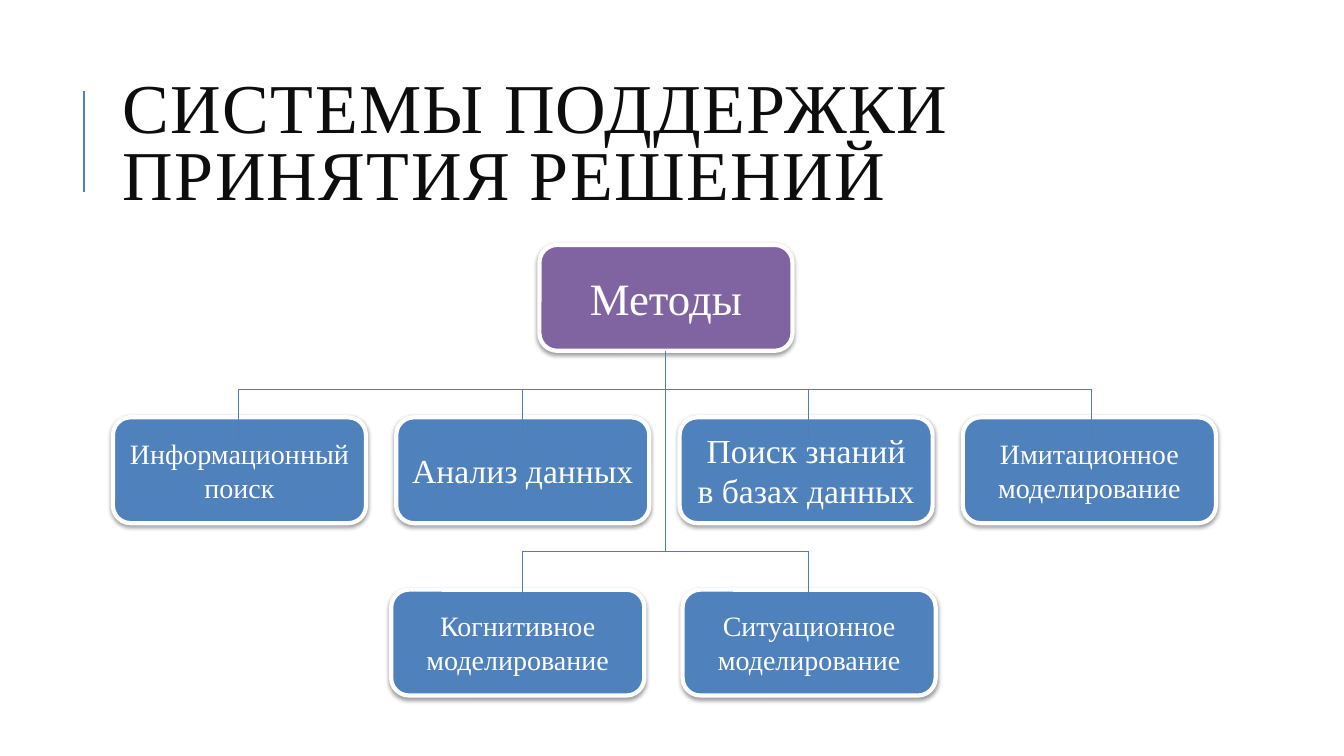
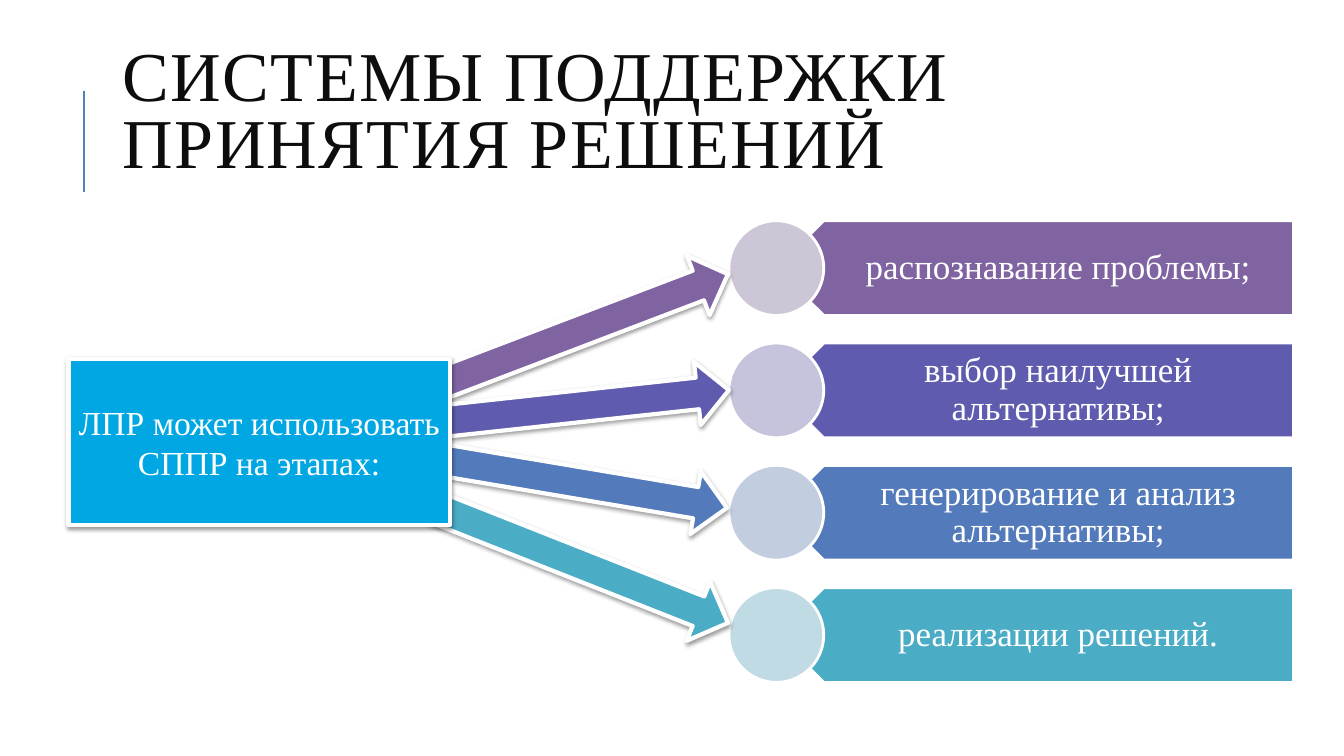
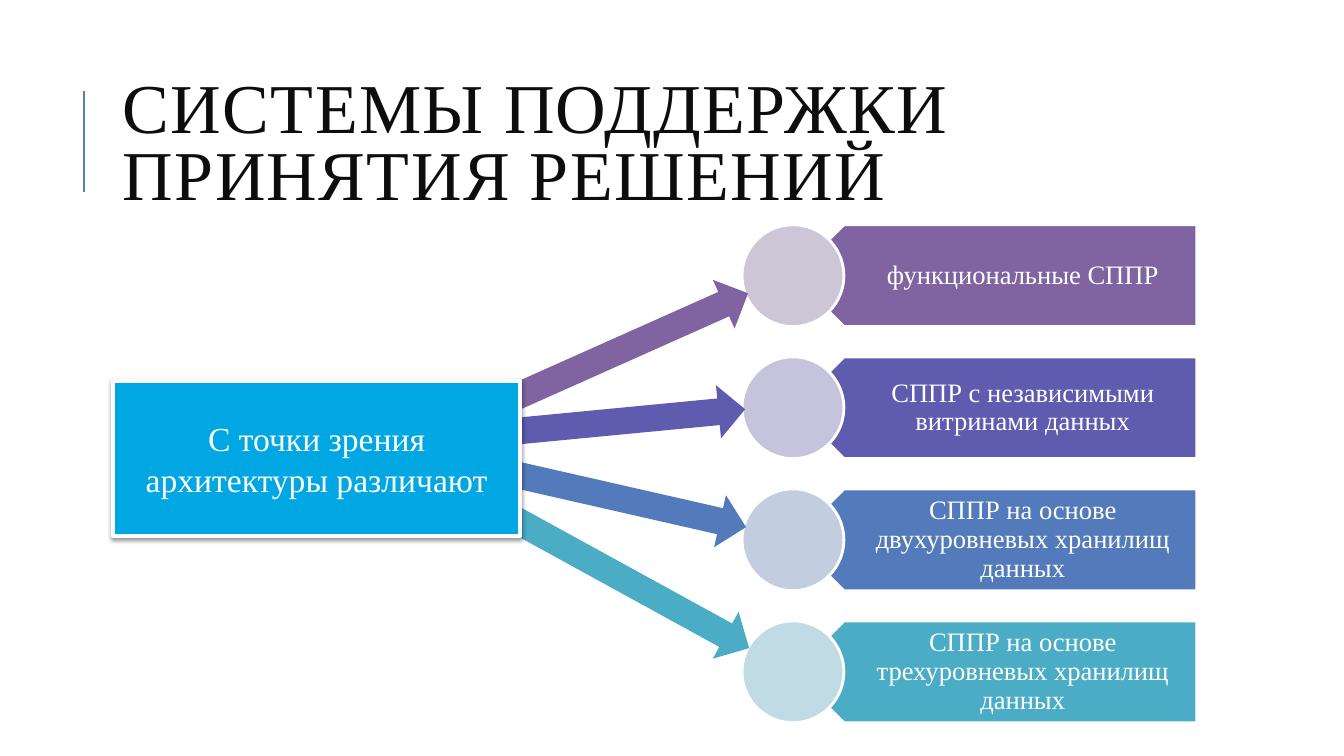
from dataclasses import dataclass
from math import atan2, degrees, hypot

from lxml import etree
from pptx import Presentation
from pptx.dml.color import RGBColor
from pptx.enum.shapes import MSO_CONNECTOR, MSO_SHAPE
from pptx.enum.text import MSO_ANCHOR, PP_ALIGN
from pptx.oxml.ns import qn
from pptx.util import Inches, Pt

STRAIGHT = MSO_CONNECTOR.STRAIGHT
RECTANGLE, ROUNDED = MSO_SHAPE.RECTANGLE, MSO_SHAPE.ROUNDED_RECTANGLE
OVAL, PLATE, ARROW = MSO_SHAPE.OVAL, MSO_SHAPE.PENTAGON, MSO_SHAPE.RIGHT_ARROW
MIDDLE = MSO_ANCHOR.MIDDLE
LEFT, CENTER = PP_ALIGN.LEFT, PP_ALIGN.CENTER


@dataclass(frozen=True)
class Theme:
    font: str = "Times New Roman"
    ink: str = "0D0D0D"
    white: str = "FFFFFF"
    blue: str = "4F81BD"
    branch: str = "4B7EBC"
    purple: str = "8064A2"
    source: str = "00A7E2"
    stages: tuple = ("8064A2", "5F5BAE", "537ABA", "4BACC6")
    tints: tuple = ("CDC6D7", "C5C4DC", "C3CDE0", "C1DBE5")
    title_size: float = 50
    root_size: float = 32
    large_size: float = 24
    small_size: float = 20
    border: float = 3
    thin_border: float = 2
    accent_line: float = 1.5
    branch_line: float = 0.75


THEME = Theme()
TITLE = "СИСТЕМЫ ПОДДЕРЖКИ ПРИНЯТИЯ РЕШЕНИЙ"


@dataclass(frozen=True)
class Box:
    left: float
    top: float
    width: float
    height: float

    def lengths(self):
        return [Inches(n) for n in (self.left, self.top, self.width, self.height)]


def write(shape, text, size, color=THEME.white, align=CENTER, spacing=1.0,
          margins=(0.1, 0.05, 0.1, 0.05)):
    frame = shape.text_frame
    left, top, right, bottom = [Inches(margin) for margin in margins]
    settings = {"word_wrap": True, "vertical_anchor": MIDDLE, "margin_left": left,
                "margin_top": top, "margin_right": right, "margin_bottom": bottom}
    for name, value in settings.items():
        setattr(frame, name, value)
    para = frame.paragraphs[0]
    para.alignment = align
    para.line_spacing = spacing
    span = para.add_run()
    for name, value in {"text": text}.items():
        setattr(span, name, value)
    for name, value in {"name": THEME.font, "size": Pt(size)}.items():
        setattr(span.font, name, value)
    span.font.color.rgb = RGBColor.from_string(color)
    return span


def add_shadow(shape):
    effects = shape._element.spPr.find(qn("a:effectLst"))
    shadow = etree.SubElement(effects, qn("a:outerShdw"), blurRad="40000",
                              dist="20000", dir="5400000", rotWithShape="0")
    color = etree.SubElement(shadow, qn("a:srgbClr"), val="000000")
    etree.SubElement(color, qn("a:alpha"), val="38000")


def add_block(page, kind, box, fill, border=0, shadow=False, rotation=0):
    shape = page.shapes.add_shape(kind, *box.lengths())
    shape.shadow.inherit = False
    shape.rotation = rotation
    shape.fill.solid()
    shape.fill.fore_color.rgb = RGBColor.from_string(fill)
    if border:
        shape.line.color.rgb = RGBColor.from_string(THEME.white)
        shape.line.width = Pt(border)
    else:
        shape.line.fill.background()
    if shadow:
        add_shadow(shape)
    return shape


def add_line(page, start, end, color, width):
    line = page.shapes.add_connector(STRAIGHT, *[Inches(n) for n in (*start, *end)])
    line.line.color.rgb = RGBColor.from_string(color)
    line.line.width = Pt(width)
    etree.SubElement(line._element.spPr, qn("a:effectLst"))


def add_page(deck, title_top=0.64):
    """Add a blank slide with the accent line and the common title."""
    page = deck.slides.add_slide(deck.slide_layouts[6])
    add_line(page, (0.83, 0.9), (0.83, 1.9), THEME.blue, THEME.accent_line)
    title = page.shapes.add_textbox(*Box(1.12, title_top, 10.63, 1.64).lengths())
    span = write(title, TITLE, THEME.title_size, THEME.ink, LEFT, 0.8)
    span.font._element.set("spc", "100")
    return page


def add_method(page, left, top, text, size, fill=THEME.blue):
    box = Box(left, top, 2.51, 1.05)
    shape = add_block(page, ROUNDED, box, fill, THEME.border, shadow=True)
    write(shape, text, size)


def add_branches(page, level, drops, drop_end):
    """Draw a horizontal bus and a drop to each method below it."""
    lines = [((drops[0], level), (drops[-1], level))]
    lines += [((x, level), (x, drop_end)) for x in drops]
    for start, end in lines:
        add_line(page, start, end, THEME.branch, THEME.branch_line)


def add_method_tree(page, frame):
    large, small = THEME.large_size, THEME.small_size
    rows = [
        (0, 2.81, 1.71, [("Информационный поиск", small), ("Анализ данных", large),
                         ("Поиск знаний в базах данных", large),
                         ("Имитационное моделирование", small)]),
        (2.76, 2.89, 3.42, [("Когнитивное моделирование", small),
                            ("Ситуационное моделирование", small)]),
    ]
    add_method(page, frame.left + 4.23, frame.top, "Методы", THEME.root_size,
               THEME.purple)
    for offset, pitch, drop, methods in rows:
        for index, (text, size) in enumerate(methods):
            add_method(page, frame.left + offset + index * pitch, frame.top + drop,
                       text, size)

    trunk = frame.left + frame.width / 2
    upper, lower = frame.top + 1.43, frame.top + 3.04
    add_line(page, (trunk, frame.top + 1.05), (trunk, lower), THEME.branch,
             THEME.branch_line)
    inner, outer = 1.42, 4.23
    add_branches(page, upper, [trunk + n for n in (-outer, -inner, inner, outer)],
                 upper + 0.49)
    add_branches(page, lower, [trunk - inner, trunk + inner], lower + 0.5)


def add_stage(page, box, text, size, fill, tint):
    """Place a plate pointing left, its text, and a circle over its tip."""
    diameter = box.height
    half = diameter / 2
    add_block(page, PLATE, Box(box.left + half, box.top, box.width - half, diameter),
              fill, THEME.thin_border, rotation=180)
    indent = 0.75 * diameter
    label = page.shapes.add_textbox(
        *Box(box.left + indent, box.top, box.width - indent, diameter).lengths())
    side, edge = 0.0076 * size, 0.004 * size
    write(label, text, size, spacing=0.9,
          margins=(0.44 * diameter, edge, side, edge))
    add_block(page, OVAL, Box(box.left, box.top, diameter, diameter), tint,
              THEME.thin_border)


def add_stage_list(page, frame, texts, height, size):
    pitch = (frame.height - height) / (len(texts) - 1)
    for index, (text, fill, tint) in enumerate(zip(texts, THEME.stages, THEME.tints)):
        box = Box(frame.left, frame.top + index * pitch, frame.width, height)
        add_stage(page, box, text, size, fill, tint)


def add_arrow(page, tail, tip, height, fill, outlined):
    across, down = tip[0] - tail[0], tip[1] - tail[1]
    length = hypot(across, down)
    box = Box((tail[0] + tip[0] - length) / 2, (tail[1] + tip[1] - height) / 2,
              length, height)
    add_block(page, ARROW, box, fill, THEME.border if outlined else 0,
              shadow=outlined, rotation=degrees(atan2(down, across)))


def add_source(page, box, text):
    shape = add_block(page, RECTANGLE, box, THEME.source, THEME.border, shadow=True)
    write(shape, text, THEME.large_size)


def add_fan(page, source, source_text, stages, texts, stage_height, size,
            arrows, arrow_height, outlined):
    """Link one source box to a list of stages with arrows."""
    add_stage_list(page, stages, texts, stage_height, size)
    for (tail, tip), fill in zip(arrows, THEME.stages):
        add_arrow(page, tail, tip, arrow_height, fill, outlined)
    add_source(page, source, source_text)


def main():
    deck = Presentation()
    deck.slide_width, deck.slide_height = Inches(13.33), Inches(7.5)

    add_method_tree(add_page(deck), Box(1.12, 2.43, 10.96, 4.47))

    add_fan(
        add_page(deck, title_top=0.32),
        source=Box(0.68, 3.56, 3.78, 1.65),
        source_text="ЛПР может использовать СППР на этапах:",
        stages=Box(7.23, 2.19, 5.6, 4.58),
        texts=["распознавание проблемы;", "выбор наилучшей альтернативы;",
               "генерирование и анализ альтернативы;", "реализации решений."],
        stage_height=0.94, size=25,
        arrows=[((4.26, 3.85), (7.22, 2.72)), ((4.19, 4.2), (7.23, 3.87)),
                ((4.18, 4.53), (7.21, 5.04)), ((4.21, 4.99), (7.22, 6.18))],
        arrow_height=0.63, outlined=True)

    add_fan(
        add_page(deck),
        source=Box(1.12, 3.78, 4.04, 1.54),
        source_text="С точки зрения архитектуры различают",
        stages=Box(7.36, 2.23, 4.51, 4.94),
        texts=["функциональные СППР", "СППР с независимыми витринами данных",
               "СППР на основе двухуровневых хранилищ данных",
               "СППР на основе трехуровневых хранилищ данных"],
        stage_height=1.01, size=19,
        arrows=[((4.26, 4.32), (7.42, 2.91)), ((3.95, 4.39), (7.39, 4.06)),
                ((4.02, 4.46), (7.4, 5.23)), ((4.39, 4.76), (7.43, 6.43))],
        arrow_height=0.53, outlined=False)

    deck.save("out.pptx")


if __name__ == "__main__":
    main()
